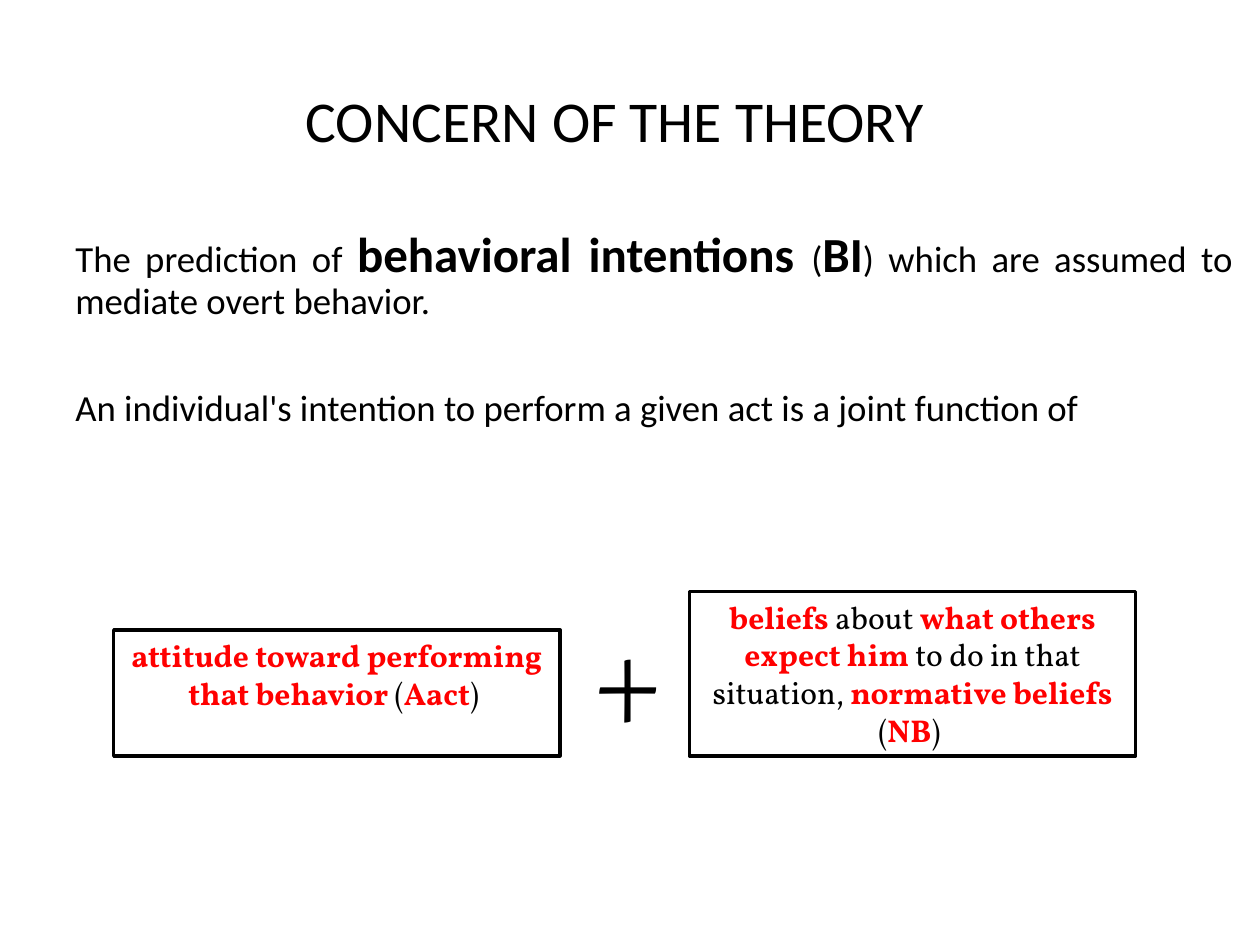
from pptx import Presentation
from pptx.dml.color import RGBColor
from pptx.enum import shapes, text
from pptx.util import Pt

COLORS = {"ink": "000000", "accent": "FF0000", "paper": "FFFFFF"}
HEAD_FONT, BOX_FONT = "Calibri", "Vollkorn"


def rgb(name):
    return RGBColor.from_string(COLORS[name])


def setup_frame(sp, anchor=text.MSO_ANCHOR.TOP):
    tf = sp.text_frame
    tf.word_wrap = True
    tf.vertical_anchor = anchor
    tf.margin_left = tf.margin_right = Pt(7.2)
    tf.margin_top = tf.margin_bottom = Pt(3.6)
    return tf


def add_text_box(slide, box, **options):
    return setup_frame(slide.shapes.add_textbox(*map(Pt, box)), **options)


def add_run(p, words, font, size, color="ink", bold=False):
    r = p.add_run()
    r.text = words
    r.font.name, r.font.size, r.font.bold = font, Pt(size), bold
    r.font.color.rgb = rgb(color)


def add_title(slide, box):
    tf = add_text_box(slide, box, anchor=text.MSO_ANCHOR.MIDDLE)
    p = tf.paragraphs[0]
    p.alignment, p.line_spacing = text.PP_ALIGN.CENTER, 0.9
    add_run(p, "CONCERN OF THE THEORY ", HEAD_FONT, 33)


def add_body(slide, box, paragraphs):
    """Justified paragraphs; key terms are larger and bold."""
    tf = add_text_box(slide, box)
    for i, parts in enumerate(paragraphs):
        p = tf.add_paragraph() if i else tf.paragraphs[0]
        p.alignment, p.line_spacing = text.PP_ALIGN.JUSTIFY, 0.9
        if i:
            p.space_before = Pt(38)
        for words, key in parts:
            add_run(p, words, HEAD_FONT, 28 if key else 21, bold=key)


def add_factor(slide, box, parts):
    """Outlined box; key terms are red and bold."""
    sp = slide.shapes.add_shape(shapes.MSO_SHAPE.RECTANGLE, *map(Pt, box))
    sp.shadow.inherit = False
    sp.fill.background()
    sp.line.color.rgb, sp.line.width = rgb("ink"), Pt(2)
    p = setup_frame(sp).paragraphs[0]
    p.alignment = text.PP_ALIGN.CENTER
    for words, key in parts:
        add_run(p, words, BOX_FONT, 18, "accent" if key else "ink", key)


def add_equation(slide, box, attitude, norms):
    """Two factors, bottom aligned, with a plus sign between them."""
    x, y, w, h = box
    factor_w, attitude_h, plus_w = 255, 72, 51
    add_factor(slide, (x, y + h - attitude_h, factor_w, attitude_h), attitude)
    add_factor(slide, (x + w - factor_w, y, factor_w, h), norms)
    tf = add_text_box(slide, (x + factor_w + 12, y, plus_w, h))
    add_run(tf.paragraphs[0], "+", BOX_FONT, 72)


def main():
    prs = Presentation()
    prs.slide_width, prs.slide_height = Pt(720), Pt(540)
    slide = prs.slides.add_slide(prs.slide_layouts[6])
    slide.background.fill.solid()
    slide.background.fill.fore_color.rgb = rgb("paper")

    # Heading and statement
    add_title(slide, (31, 26, 648, 90))
    add_body(slide, (36, 128, 675.5, 370), [
        [("The prediction of ", False), ("behavioral intentions ", True),
         ("(", False), ("BI", True),
         (") which are assumed to mediate overt behavior. ", False)],
        [("An individual's intention to perform a given act is a joint "
          "function of ", False)],
    ])

    # Joint function
    add_equation(
        slide, (65, 338, 584, 94),
        attitude=[("attitude toward performing that behavior ", True),
                  ("(", False), ("Aact", True), (") ", False)],
        norms=[("beliefs", True), (" about ", False),
               ("what others expect him", True),
               (" to do in that situation, ", False),
               ("normative beliefs ", True),
               ("(", False), ("NB", True), (") ", False)])
    prs.save("out.pptx")


if __name__ == "__main__":
    main()
